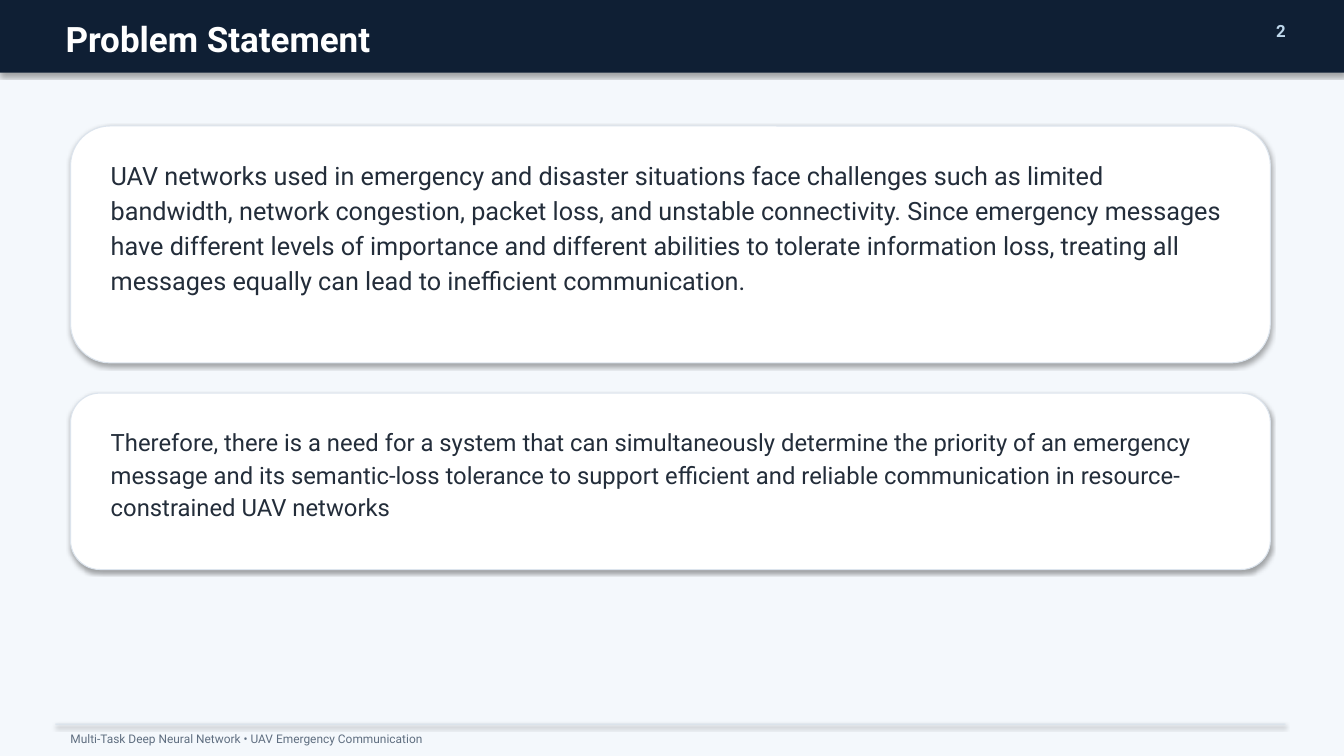
from pptx import Presentation
from pptx import util as u
from pptx.dml import color
from pptx.enum import shapes, text

FONT = "Roboto"
BODY = (
    ("UAV networks used in emergency and disaster situations face challenges "
     "such as limited bandwidth, network congestion, packet loss, and unstable "
     "connectivity. Since emergency messages have different levels of importance "
     "and different abilities to tolerate information loss, treating all messages "
     "equally can lead to inefficient communication.", 1.25, 2.35, 18),
    ("Therefore, there is a need for a system that can simultaneously determine "
     "the priority of an emergency message and its semantic-loss tolerance to "
     "support efficient and reliable communication in resource-constrained "
     "UAV networks", 3.9, 1.75, 17),
)


def rgb(code):
    """Turn a hex string into a colour."""
    return color.RGBColor.from_string(code)


def place(item, box):
    """Set left, top, width and height in inches."""
    item.left, item.top, item.width, item.height = map(u.Inches, box)


def block(slide, box, fill, line=None, round=False):
    """Add a filled rectangle that keeps the soft theme shadow."""
    kind = shapes.MSO_SHAPE.ROUNDED_RECTANGLE if round else shapes.MSO_SHAPE.RECTANGLE
    item = slide.shapes.add_shape(kind, *map(u.Inches, box))
    item.fill.solid()
    item.fill.fore_color.rgb = rgb(fill)
    if line:
        item.line.color.rgb = rgb(line)
        item.line.width = u.Pt(0.75)
    else:
        item.line.fill.background()


def write(item, words, size, ink, bold=False, align=text.PP_ALIGN.LEFT, space=None):
    """Fill a box with one formatted paragraph."""
    frame = item.text_frame
    frame.text = words
    frame.word_wrap = True
    frame.auto_size = text.MSO_AUTO_SIZE.SHAPE_TO_FIT_TEXT
    frame.vertical_anchor = text.MSO_ANCHOR.TOP
    para = frame.paragraphs[0]
    para.alignment = align
    para.line_spacing = space
    font = para.runs[0].font
    font.name, font.size, font.bold = FONT, u.Pt(size), bold
    font.color.rgb = rgb(ink)


def label(slide, box, words, **form):
    """Add a text box."""
    write(slide.shapes.add_textbox(*map(u.Inches, box)), words, **form)


def head(slide):
    """Draw the top bar with the title and page number."""
    block(slide, (0, 0, 13.33, 0.72), "0F1F34")
    title = slide.shapes.title
    place(title, (0.55, 0.12, 11.5, 0.42))
    write(title, "Problem Statement", size=25, ink="FFFFFF", bold=True)
    slide.shapes.element.append(title.element)
    label(slide, (12.35, 0.16, 0.5, 0.3), "2", size=12, ink="BED7EB",
          bold=True, align=text.PP_ALIGN.RIGHT)


def foot(slide):
    """Draw the bottom rule and footer line."""
    block(slide, (0.55, 7.18, 12.2, 0.01), "D7E1EB")
    label(slide, (0.6, 7.21, 12, 0.2),
          "Multi-Task Deep Neural Network • UAV Emergency Communication",
          size=8.5, ink="5F6E80")


def card(slide, words, top, high, size):
    """Draw a rounded card with its text."""
    block(slide, (0.7, top, 11.9, high), "FFFFFF", line="DCE4ED", round=True)
    label(slide, (1, top + 0.25, 11.3, 1.9), words, size=size, ink="232D3A", space=1.15)


def main():
    """Build and save the slide."""
    deck = Presentation()
    deck.slide_width, deck.slide_height = u.Inches(13.33), u.Inches(7.5)
    slide = deck.slides.add_slide(deck.slide_layouts[5])
    block(slide, (0, 0, 13.33, 7.5), "F4F8FC")
    head(slide)
    foot(slide)
    for item in BODY:
        card(slide, *item)
    deck.save("out.pptx")


if __name__ == "__main__":
    main()
